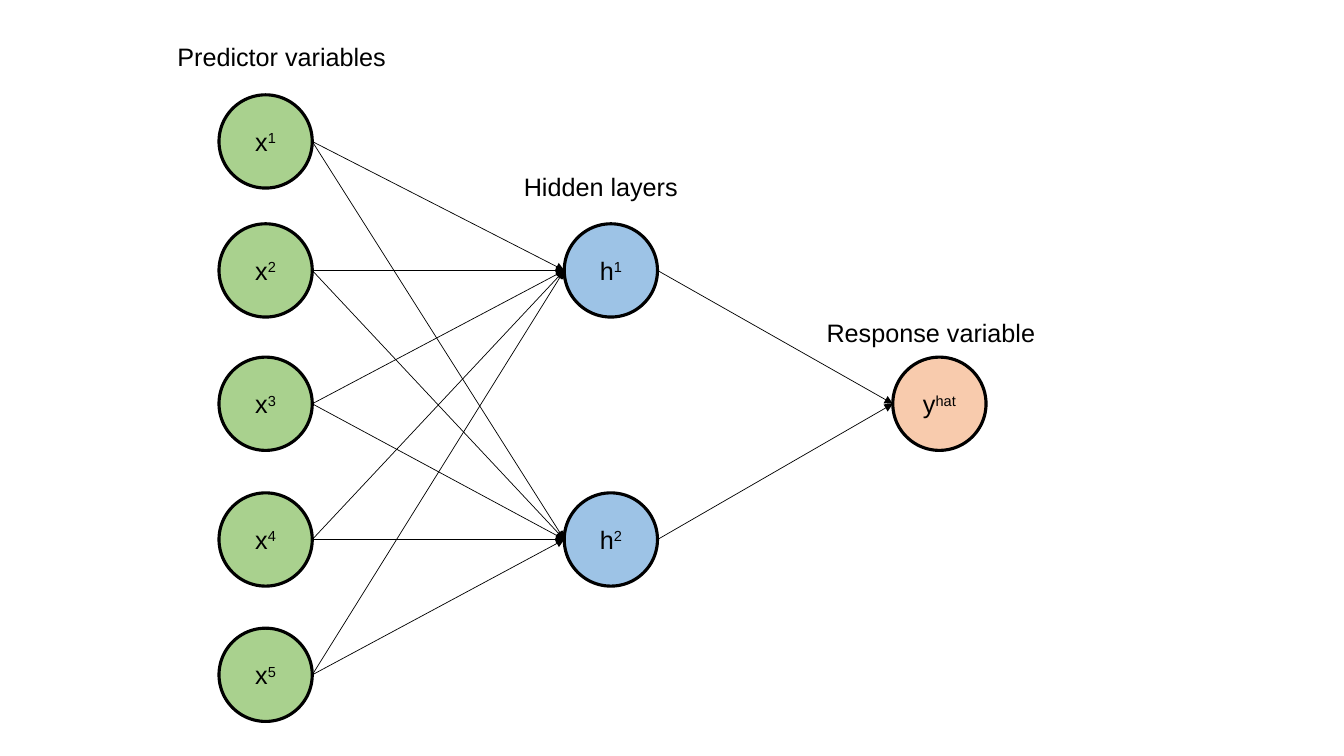
from dataclasses import dataclass
from itertools import product

from lxml import etree
from pptx import Presentation
from pptx.dml.color import RGBColor
from pptx.enum.shapes import MSO_CONNECTOR, MSO_SHAPE
from pptx.enum.text import MSO_ANCHOR, MSO_AUTO_SIZE, PP_ALIGN
from pptx.oxml.ns import qn
from pptx.shapes.shapetree import SlideShapes
from pptx.text.text import Font
from pptx.util import Cm, Pt

OVAL = MSO_SHAPE.OVAL
STRAIGHT = MSO_CONNECTOR.STRAIGHT
MIDDLE = MSO_ANCHOR.MIDDLE
CENTER = PP_ALIGN.CENTER
FIT_SHAPE = MSO_AUTO_SIZE.SHAPE_TO_FIT_TEXT

BLACK = RGBColor(0x00, 0x00, 0x00)
GREEN = RGBColor(0xA9, 0xD1, 0x8E)
BLUE = RGBColor(0x9D, 0xC3, 0xE6)
ORANGE = RGBColor(0xF8, 0xCB, 0xAD)

FONT_NAME = "Arial"
FONT_SIZE = Pt(18)
DIAMETER = 2.35
CAPTION_HEIGHT = 1.02
ROWS = (2.39, 5.64, 9.0, 12.42, 15.83)


@dataclass(frozen=True)
class Neuron:
    symbol: str
    superscript: str
    left: float
    top: float

    @property
    def middle(self) -> float:
        return self.top + DIAMETER / 2


@dataclass(frozen=True)
class Layer:
    caption: str
    caption_left: float
    caption_top: float
    caption_width: float
    fill: RGBColor
    neurons: tuple[Neuron, ...]


LAYERS = (
    Layer("Predictor variables", 4.22, 0.92, 5.82, GREEN,
          tuple(Neuron("x", str(number), 5.52, top)
                for number, top in enumerate(ROWS, start=1))),
    Layer("Hidden layers", 12.95, 4.2, 4.42, BLUE,
          (Neuron("h", "1", 14.22, ROWS[1]), Neuron("h", "2", 14.22, ROWS[3]))),
    Layer("Response variable", 20.58, 7.86, 5.82, ORANGE,
          (Neuron("y", "hat", 22.5, ROWS[2]),)),
)


def style_font(font: Font) -> None:
    font.name = FONT_NAME
    font.size = FONT_SIZE
    font.color.rgb = BLACK


def draw_neuron(shapes: SlideShapes, neuron: Neuron, fill: RGBColor) -> None:
    circle = shapes.add_shape(OVAL, Cm(neuron.left), Cm(neuron.top),
                              Cm(DIAMETER), Cm(DIAMETER))
    circle.shadow.inherit = False
    circle.fill.solid()
    circle.fill.fore_color.rgb = fill
    circle.line.color.rgb = BLACK
    circle.line.width = Pt(2.25)
    circle.text_frame.vertical_anchor = MIDDLE
    label = circle.text_frame.paragraphs[0]
    label.alignment = CENTER
    label.text = neuron.symbol
    exponent = label.add_run()
    exponent.text = neuron.superscript
    for run in label.runs:
        style_font(run.font)
    exponent._r.get_or_add_rPr().set("baseline", "30000")


def draw_weight(shapes: SlideShapes, source: Neuron, target: Neuron) -> None:
    """Draw the arrow from one neuron's right edge to the next one's left edge."""
    arrow = shapes.add_connector(
        STRAIGHT, Cm(source.left + DIAMETER), Cm(source.middle),
        Cm(target.left), Cm(target.middle))
    arrow.line.color.rgb = BLACK
    arrow.line.width = Pt(0.5)
    etree.SubElement(arrow.line._get_or_add_ln(), qn("a:tailEnd"), type="triangle")
    etree.SubElement(arrow._element.spPr, qn("a:effectLst"))


def draw_caption(shapes: SlideShapes, layer: Layer) -> None:
    caption = shapes.add_textbox(Cm(layer.caption_left), Cm(layer.caption_top),
                                 Cm(layer.caption_width), Cm(CAPTION_HEIGHT))
    frame = caption.text_frame
    frame.word_wrap = False
    frame.auto_size = FIT_SHAPE
    frame.text = layer.caption
    style_font(frame.paragraphs[0].runs[0].font)


def main() -> None:
    presentation = Presentation()
    presentation.slide_width = Cm(33.87)
    presentation.slide_height = Cm(19.05)
    blank_layout = presentation.slide_layouts[6]
    shapes = presentation.slides.add_slide(blank_layout).shapes

    for layer in LAYERS:
        draw_caption(shapes, layer)
        for neuron in layer.neurons:
            draw_neuron(shapes, neuron, layer.fill)
    for current, following in zip(LAYERS, LAYERS[1:]):
        for source, target in product(current.neurons, following.neurons):
            draw_weight(shapes, source, target)

    presentation.save("out.pptx")


if __name__ == "__main__":
    main()
